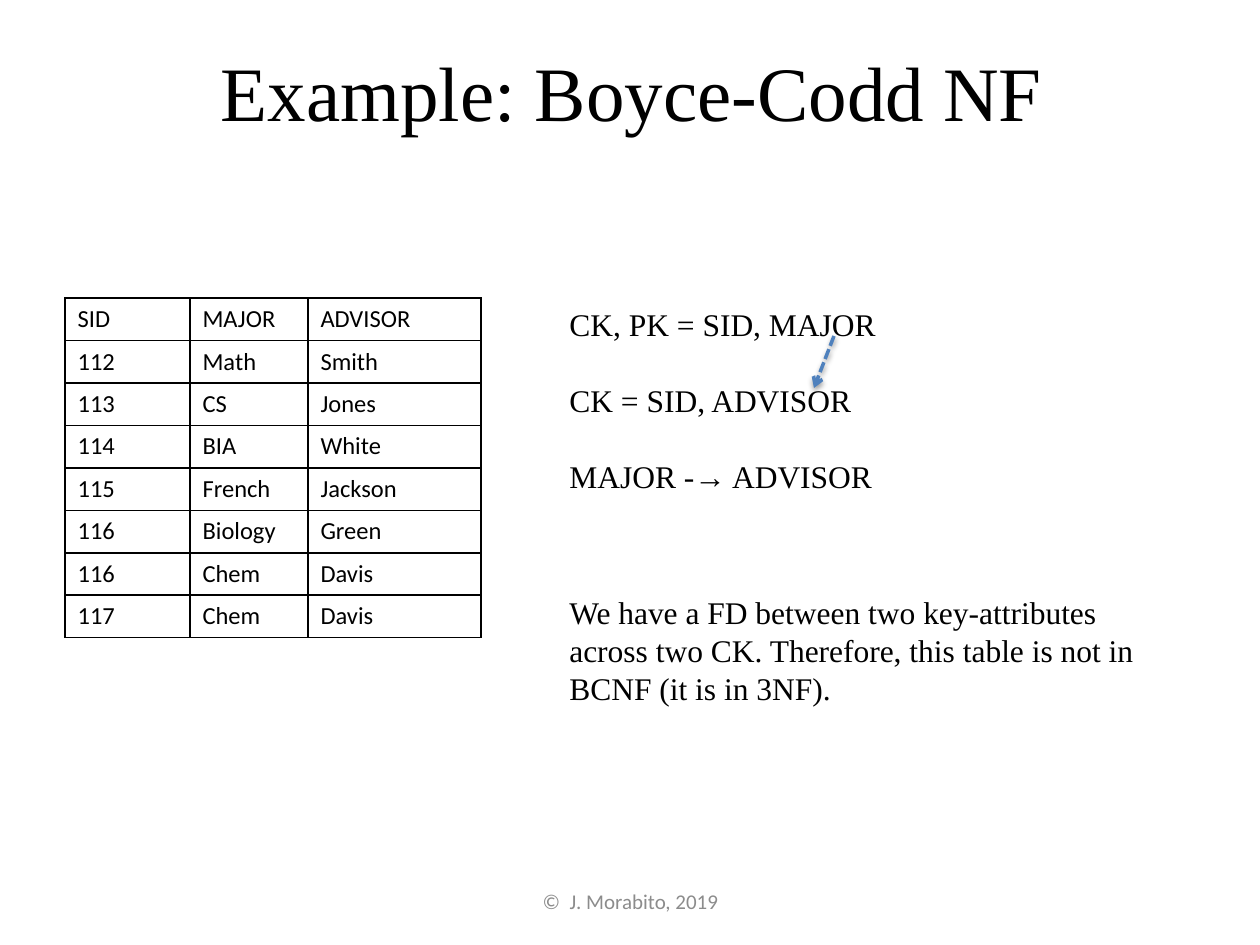
from lxml import etree
from pptx import Presentation, util as u
from pptx.dml.color import RGBColor
from pptx.enum import dml, shapes, text
from pptx.oxml import parse_xml
from pptx.oxml.ns import nsdecls

SCALE = 914400 / 126
HEX = {"ink": "000000", "grey": "8C8C8C", "blue": "4F81BD"}
SERIF, SANS = "Times New Roman", "Calibri"
PITCH = 21.7

ROWS = [
    ("SID", "MAJOR", "ADVISOR"),
    ("112", "Math", "Smith"),
    ("113", "CS", "Jones"),
    ("114", "BIA", "White"),
    ("115", "French", "Jackson"),
    ("116", "Biology", "Green"),
    ("116", "Chem", "Davis"),
    ("117", "Chem", "Davis"),
]
COLS = (125, 118, 173)
KEYS = ("CK, PK = SID, MAJOR", "CK = SID, ADVISOR", "MAJOR -→ ADVISOR")
NOTE = (
    "We have a FD between two key-attributes",
    "across two CK. Therefore, this table is not in BCNF (it is in 3NF).",
)


def px(*vals):
    return [u.Emu(round(v * SCALE)) for v in vals]


def style(par, face, size, hue="ink"):
    par.font.name = face
    par.font.size = u.Pt(size)
    par.font.color.rgb = RGBColor.from_string(HEX[hue])


def add_title(slide, words):
    title = slide.shapes.title
    title.left, title.top, title.width, title.height = px(65, 20, 1134, 142)
    title.text_frame.text = words
    title.text_frame.vertical_anchor = text.MSO_ANCHOR.MIDDLE
    par = title.text_frame.paragraphs[0]
    par.alignment = text.PP_ALIGN.CENTER
    style(par, SERIF, 44)


def add_lines(slide, box, lines, gap=0, wrap=True):
    """Add a serif text box with one paragraph per line, gap points apart."""
    frame = slide.shapes.add_textbox(*px(*box)).text_frame
    frame.word_wrap = wrap
    frame.text = "\n".join(lines)
    for i, par in enumerate(frame.paragraphs):
        style(par, SERIF, 18)
        par.line_spacing = u.Pt(PITCH)
        par.space_before = u.Pt(gap if i else 0)


def add_foot(slide, words):
    frame = slide.shapes.add_textbox(*px(431, 876, 399, 50)).text_frame
    frame.word_wrap = True
    frame.vertical_anchor = text.MSO_ANCHOR.MIDDLE
    frame.text = words
    par = frame.paragraphs[0]
    par.alignment = text.PP_ALIGN.CENTER
    style(par, SANS, 12, "grey")


def add_edges(cell):
    """Draw a thin line on all four sides of a cell."""
    props = cell._tc.get_or_add_tcPr()
    for side in "LRTB":
        props.append(parse_xml(
            f'<a:ln{side} {nsdecls("a")} w="12700"><a:solidFill>'
            f'<a:srgbClr val="{HEX["ink"]}"/></a:solidFill></a:ln{side}>'))


def add_grid(slide):
    table = slide.shapes.add_table(
        len(ROWS), len(COLS), *px(65, 298, sum(COLS), 340)).table
    table.first_row = table.horz_banding = False
    for col, width in zip(table.columns, px(*COLS)):
        col.width = width
    for r, row in enumerate(ROWS):
        for c, word in enumerate(row):
            cell = table.cell(r, c)
            cell.text = word
            style(cell.text_frame.paragraphs[0], SANS, 14)
            add_edges(cell)
            cell.fill.background()


def add_arrow(slide, start, end):
    """Add a dashed arrow with a soft shadow below it."""
    arrow = slide.shapes.add_connector(
        shapes.MSO_CONNECTOR.STRAIGHT, *px(*start, *end))
    line = arrow.line
    line.color.rgb = RGBColor.from_string(HEX["blue"])
    line.width = u.Pt(2)
    line.dash_style = dml.MSO_LINE.SQUARE_DOT
    line._get_or_add_ln().append(
        parse_xml(f'<a:tailEnd {nsdecls("a")} type="arrow"/>'))
    glow = etree.fromstring(
        f'<a:effectLst {nsdecls("a")}><a:outerShdw blurRad="40000" '
        f'dist="20000" dir="5400000" rotWithShape="0">'
        f'<a:srgbClr val="{HEX["ink"]}"><a:alpha val="38000"/></a:srgbClr>'
        f'</a:outerShdw></a:effectLst>')
    arrow._element.spPr.append(glow)


def main():
    deck = Presentation()
    deck.slide_width, deck.slide_height = px(1260, 945)
    slide = deck.slides.add_slide(deck.slide_layouts[5])
    add_title(slide, "Example: Boyce-Codd NF")
    add_grid(slide)
    add_lines(slide, (557, 299, 349, 204), KEYS, gap=PITCH, wrap=False)
    add_lines(slide, (557, 587, 643, 127), NOTE)
    add_foot(slide, "©  J. Morabito, 2019")
    add_arrow(slide, (834, 336), (814, 388))
    deck.save("out.pptx")


if __name__ == "__main__":
    main()
